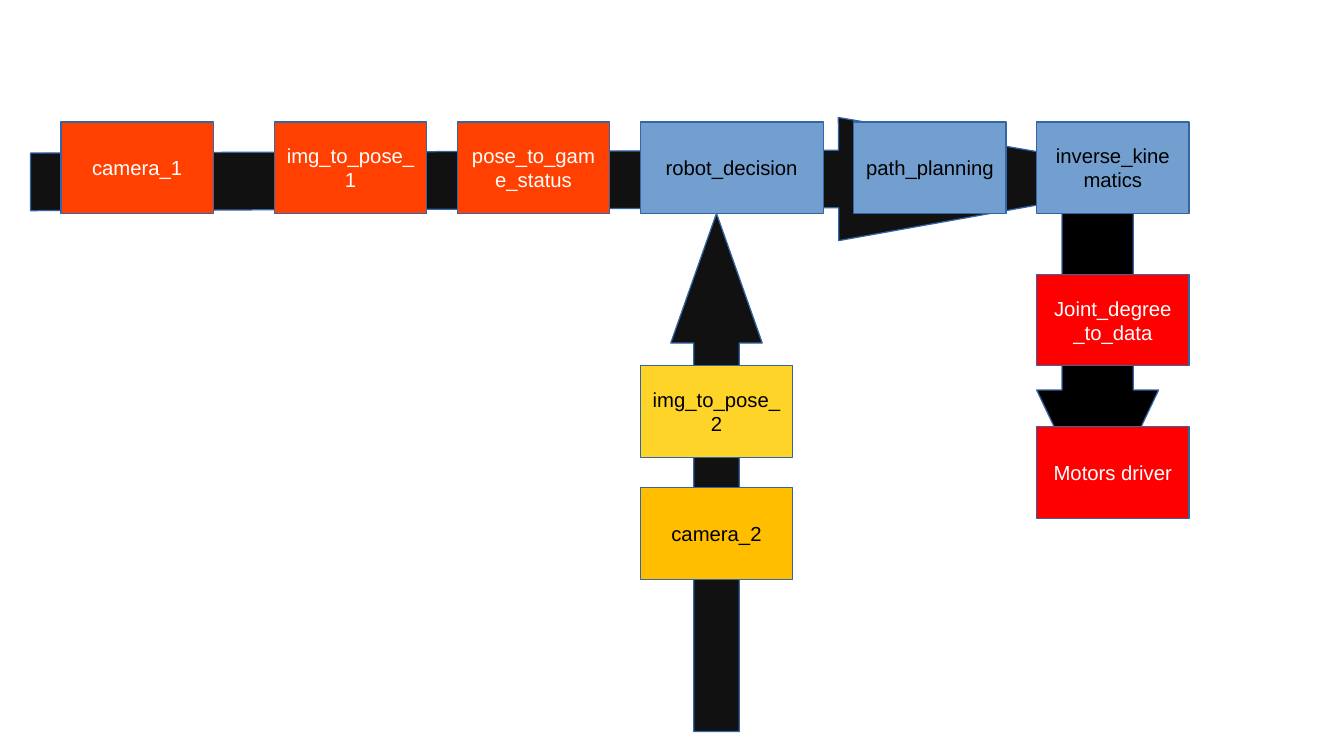
"""Build the robot pipeline block diagram slide."""
import pptx
import pptx.dml.color
import pptx.enum.shapes
import pptx.enum.text
import pptx.util

PX = 9144
SHAPE = pptx.enum.shapes.MSO_SHAPE


def color(value):
    return pptx.dml.color.RGBColor.from_string(value)


def add_block(kind, x, y, w, h, fill):
    sp = s.shapes.add_shape(kind, x * PX, y * PX, w * PX, h * PX)
    sp.shadow.inherit = False
    sp.fill.solid()
    sp.fill.fore_color.rgb = color(fill)
    sp.line.color.rgb = color("3465A4")
    sp.line.width = 0
    return sp


prs = pptx.Presentation()
prs.slide_width = 1102 * PX
prs.slide_height = 620 * PX
s = prs.slides.add_slide(prs.slide_layouts[6])

arrows = [
    (775, 250, 250, 100, 90, 0.583, 1.051, "000000"),
    (25, 97, 950, 101, 359.8, 0.468, 2.846, "111111"),
    (375, 350, 425, 75, 270, 0.5, 1.417, "111111"),
]
for x, y, w, h, angle, shaft, head, fill in arrows:
    sp = add_block(SHAPE.RIGHT_ARROW, x, y, w, h, fill)
    sp.rotation = angle
    sp.adjustments[0] = shaft
    sp.adjustments[1] = head

WHITE, BLACK = "FFFFFF", "000000"
ORANGE, BLUE, RED = "FF4000", "729FCF", "FF0000"
nodes = [
    ("camera_1", 50, 100, 125, ORANGE, WHITE),
    ("img_to_pose_1", 225, 100, 125, ORANGE, WHITE),
    ("pose_to_game_status", 375, 100, 125, ORANGE, WHITE),
    ("robot_decision", 525, 100, 150, BLUE, BLACK),
    ("path_planning", 700, 100, 125, BLUE, BLACK),
    ("inverse_kinematics", 850, 100, 125, BLUE, BLACK),
    ("Joint_degree_to_data", 850, 225, 125, RED, WHITE),
    ("Motors driver", 850, 350, 125, RED, WHITE),
    ("camera_2", 525, 400, 125, "FFBF00", BLACK),
    ("img_to_pose_2", 525, 300, 125, "FFD428", BLACK),
]
for label, x, y, w, fill, ink in nodes:
    sp = add_block(SHAPE.RECTANGLE, x, y, w, 75, fill)
    tf = sp.text_frame
    tf.word_wrap = True
    tf.vertical_anchor = pptx.enum.text.MSO_ANCHOR.MIDDLE
    p = tf.paragraphs[0]
    p.text = label
    p.alignment = pptx.enum.text.PP_ALIGN.CENTER
    p.font.name = "Arial"
    p.font.size = pptx.util.Pt(12)
    p.font.color.rgb = color(ink)

prs.save("out.pptx")
